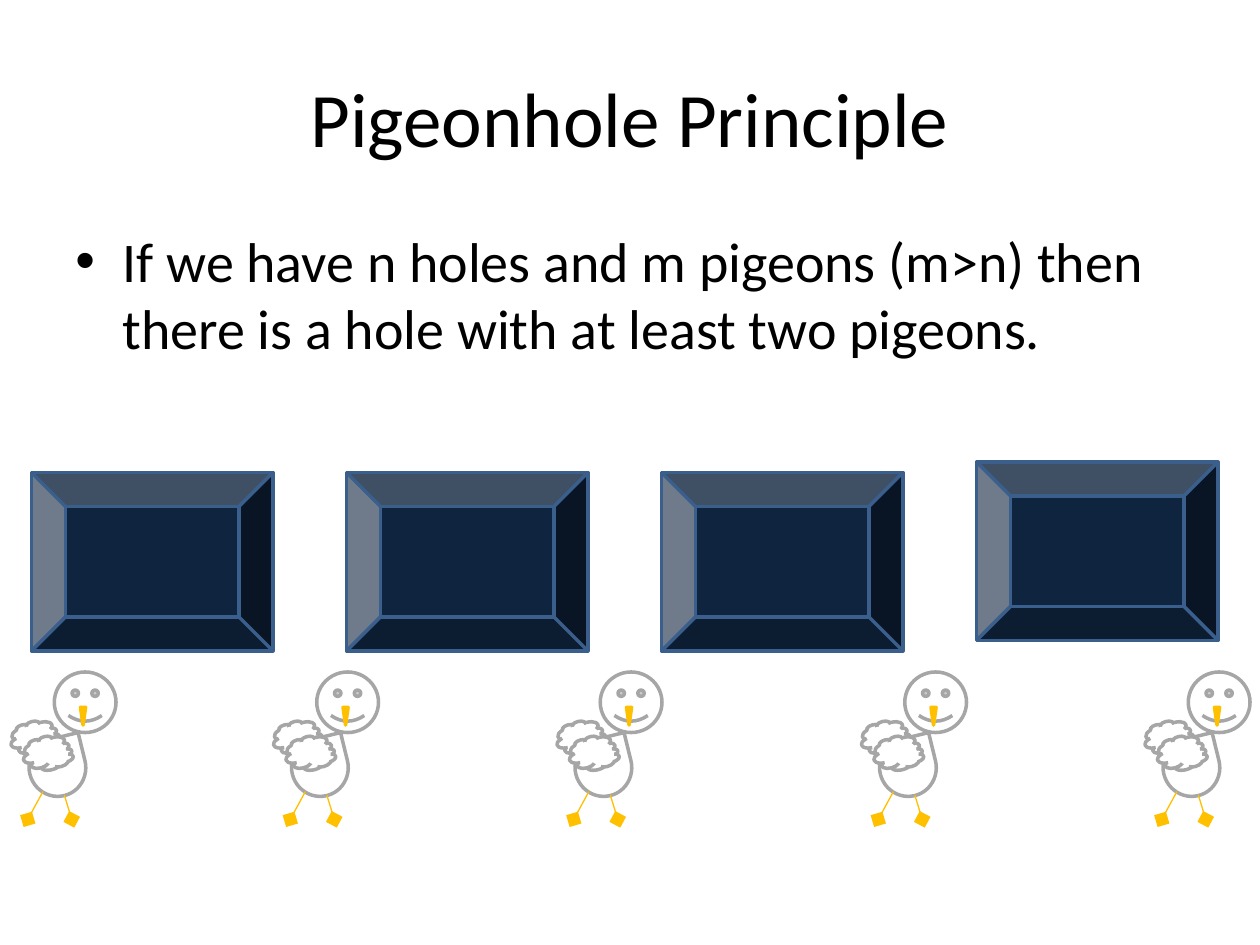
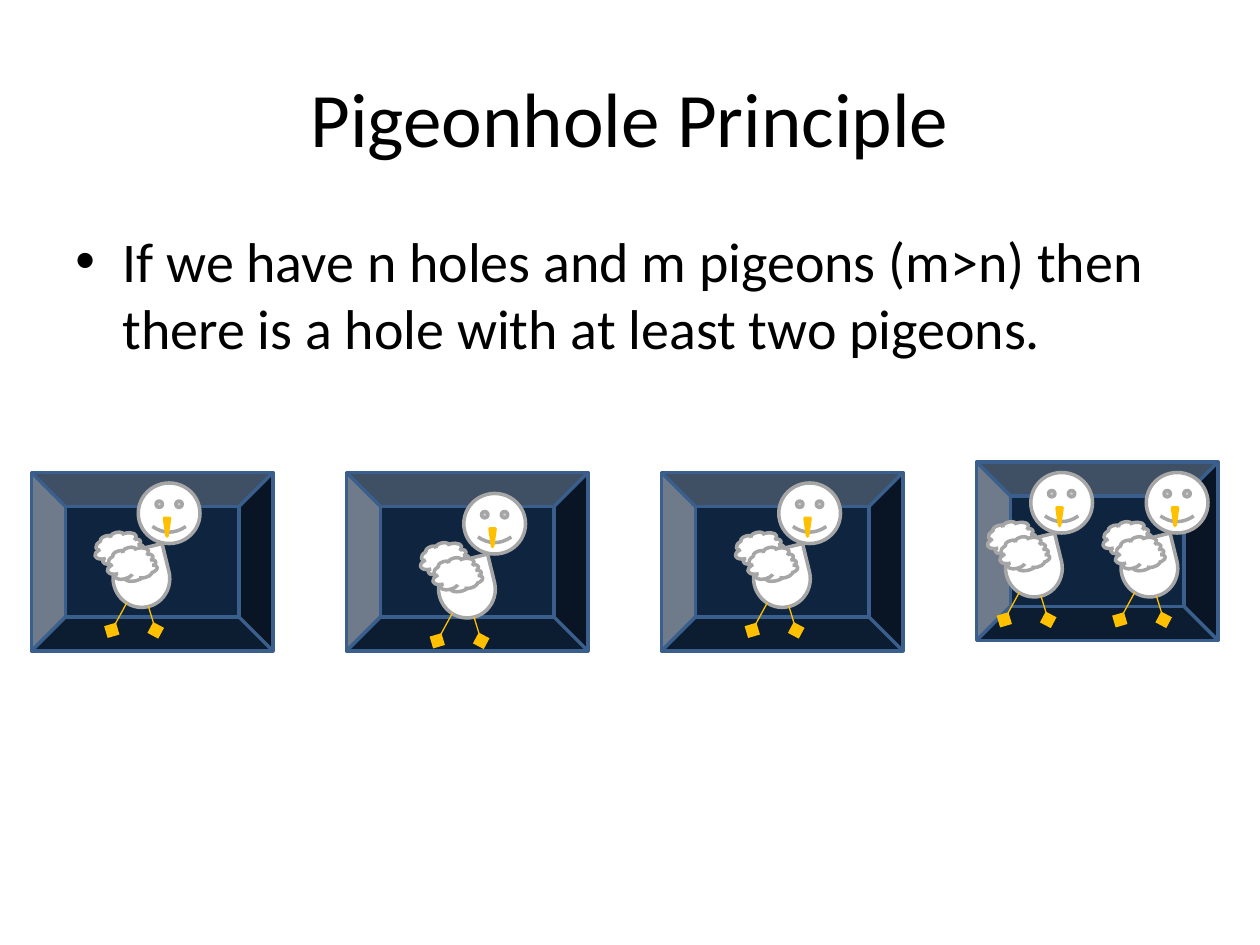
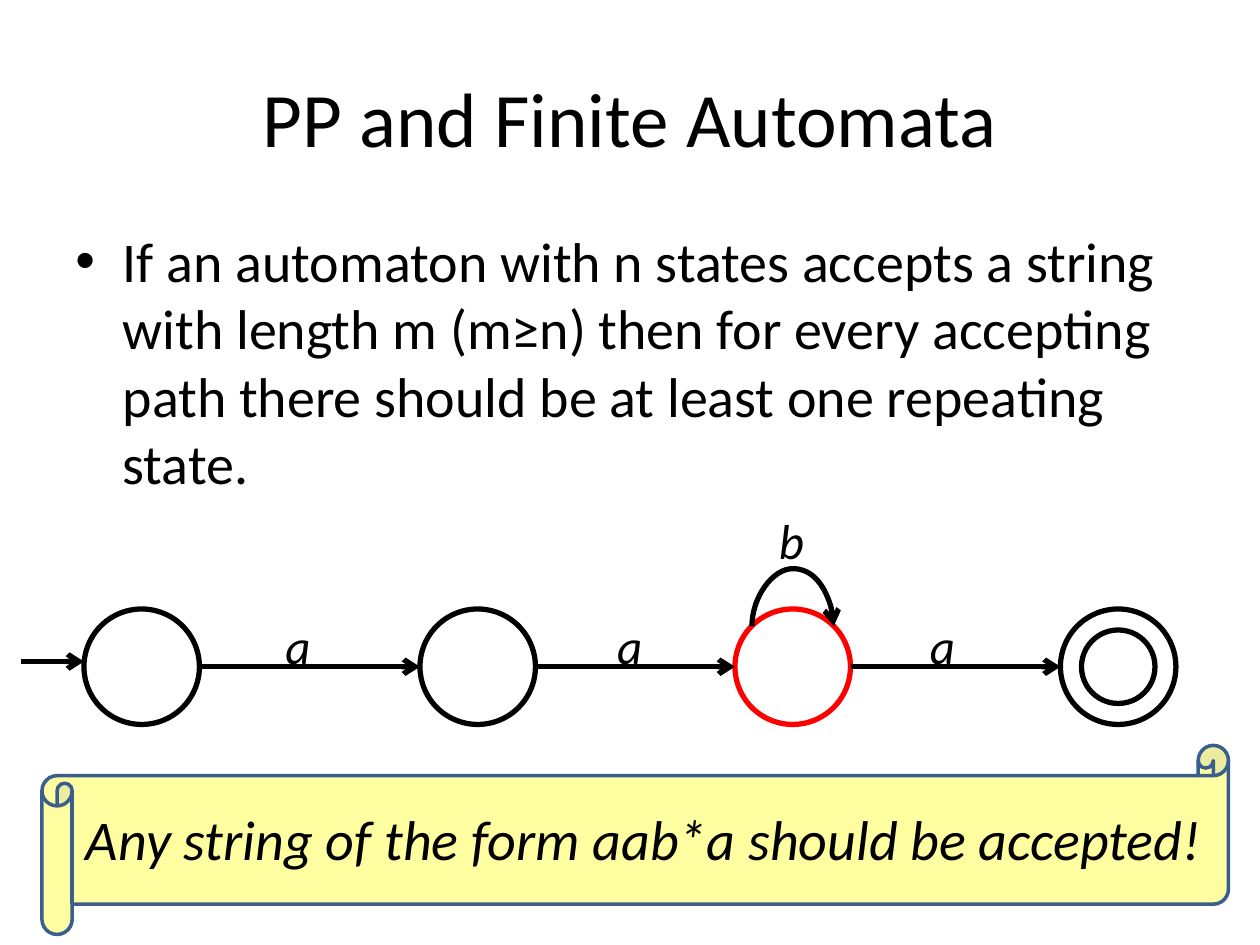
from lxml.etree import SubElement
from pptx import Presentation
from pptx.dml.color import RGBColor
from pptx.enum.shapes import MSO_CONNECTOR as CONNECTOR, MSO_SHAPE as SHAPE
from pptx.enum.text import MSO_ANCHOR, MSO_AUTO_SIZE, PP_ALIGN
from pptx.oxml.ns import qn
from pptx.util import Pt

FONT = "Calibri"
BLACK, WHITE, RED = "000000", "FFFFFF", "FF0000"
NAVY, BLUE = "0F243E", "3A5F8C"
GREY, ORANGE, YELLOW = "A6A6A6", "FFC000", "FFFF00"


def paint(shape, line, width, fill=None, tail=None, tail_size="med"):
    """Set outline, fill and end arrowhead, and remove the theme shadow."""
    shape.line.color.rgb = RGBColor.from_string(line)
    shape.line.width = Pt(width)
    if fill:
        shape.shadow.inherit = False
        shape.fill.solid()
        shape.fill.fore_color.rgb = RGBColor.from_string(fill)
    else:
        properties = shape._element.spPr
        if tail:
            SubElement(properties.find(qn("a:ln")), qn("a:tailEnd"),
                       type=tail, w=tail_size, len=tail_size)
        SubElement(properties, qn("a:effectLst"))


def add_text(slide, text, box, size, italic=False, wrap=True):
    """Add a one-paragraph text box and return its text frame."""
    frame = slide.shapes.add_textbox(*map(Pt, box)).text_frame
    frame.word_wrap = wrap
    if not wrap:
        frame.auto_size = MSO_AUTO_SIZE.SHAPE_TO_FIT_TEXT
    run = frame.paragraphs[0].add_run()
    run.text = text
    run.font.name = FONT
    run.font.size = Pt(size)
    run.font.italic = italic
    run.font.color.rgb = RGBColor.from_string(BLACK)
    return frame


presentation = Presentation()
presentation.slide_width, presentation.slide_height = Pt(720), Pt(540)

PRINCIPLE = ("Pigeonhole Principle",
             "If we have n holes and m pigeons (m>n) then there is a hole "
             "with at least two pigeons.")
AUTOMATA = ("PP and Finite Automata",
            "If an automaton with n states accepts a string with length m (m≥n) "
            "then for every accepting path there should be at least one "
            "repeating state.")

# Title and bullet on every slide
slides = []
for title, bullet in (PRINCIPLE, PRINCIPLE, AUTOMATA):
    slide = presentation.slides.add_slide(presentation.slide_layouts[6])
    slides.append(slide)
    if title == AUTOMATA[0]:
        scroll = slide.shapes.add_shape(
            SHAPE.HORIZONTAL_SCROLL, Pt(24), Pt(426), Pt(678), Pt(108))
        scroll.adjustments[0] = 0.16
        paint(scroll, BLUE, 2, YELLOW)
        scroll_color = scroll._element.spPr.find(qn("a:solidFill"))[0]
        SubElement(scroll_color, qn("a:alpha"), val="37000")

    title_frame = add_text(slide, title, (36, 21.6, 648, 90), 44)
    title_frame.vertical_anchor = MSO_ANCHOR.MIDDLE
    title_frame.paragraphs[0].alignment = PP_ALIGN.CENTER

    body_frame = add_text(slide, bullet, (36, 126, 648, 356.4), 32)
    bullet_format = body_frame.paragraphs[0]._p.get_or_add_pPr()
    bullet_format.set("marL", str(Pt(27)))
    bullet_format.set("indent", str(Pt(-27)))
    SubElement(bullet_format, qn("a:buFont"), typeface="Arial")
    SubElement(bullet_format, qn("a:buChar"), char="•")

# Pigeon parts, measured from the top left of the head
PIGEON_PARTS = [
    (SHAPE.SMILEY_FACE, (0, 0, 35.3, 34.6), 0, WHITE, GREY),
    (SHAPE.TEAR, (-14.4, 38, 32.4, 33.1), 346.3, WHITE, GREY),
    (SHAPE.CLOUD, (-20.8, 23.9, 19.4, 28.1), 75.4, WHITE, GREY),
    (SHAPE.CLOUD, (-13.7, 32.5, 19.4, 28.1), 75.4, WHITE, GREY),
    (SHAPE.ISOSCELES_TRIANGLE, (15, 20.2, 2.9, 10.1), 180, ORANGE, ORANGE),
]
PIGEON_LEGS = [(-6.5, 68.4, -15.1, 84.2), (5.8, 70.4, 10, 84.2)]
WAITING = [(x, 384) for x in (31, 181, 343, 517, 679)]
HOUSED = [(79, 276), (265, 282), (445, 276), (589, 270), (655, 270)]

for slide, pigeons in zip(slides, (WAITING, HOUSED)):
    for column, hole_top in enumerate((270, 270, 270, 264)):
        hole = slide.shapes.add_shape(
            SHAPE.BEVEL, Pt(18 + 180 * column), Pt(hole_top), Pt(138), Pt(102))
        hole.adjustments[0] = 0.19
        paint(hole, BLUE, 2, NAVY)

    for head_x, head_y in pigeons:
        pigeon = slide.shapes.add_group_shape()
        for kind, (x, y, width, height), rotation, fill, line in PIGEON_PARTS:
            part = pigeon.shapes.add_shape(
                kind, Pt(head_x + x), Pt(head_y + y), Pt(width), Pt(height))
            part.rotation = rotation
            paint(part, line, 2, fill)
        for hip_x, hip_y, foot_x, foot_y in PIGEON_LEGS:
            leg = pigeon.shapes.add_connector(
                CONNECTOR.STRAIGHT, Pt(head_x + hip_x), Pt(head_y + hip_y),
                Pt(head_x + foot_x), Pt(head_y + foot_y))
            paint(leg, ORANGE, 0.75, tail="diamond", tail_size="lg")

# Automaton: four states, the last one accepting
slide = slides[2]
STATE_SIZE, STATE_TOP, ARROW_Y = 66, 348, 381
state_lefts = [48, 240, 420, 606]
for left, color in zip(state_lefts, (BLACK, BLACK, RED, BLACK)):
    state = slide.shapes.add_shape(
        SHAPE.OVAL, Pt(left), Pt(STATE_TOP), Pt(STATE_SIZE), Pt(STATE_SIZE))
    paint(state, color, 3, WHITE)
accepting_ring = slide.shapes.add_shape(
    SHAPE.OVAL, Pt(618), Pt(360), Pt(42), Pt(42))
paint(accepting_ring, BLACK, 3, WHITE)

arrows = [(12, 48, 378)]
for left, next_left in zip(state_lefts, state_lefts[1:]):
    arrows.append((left + STATE_SIZE, next_left, ARROW_Y))
for start_x, end_x, y in arrows:
    arrow = slide.shapes.add_connector(
        CONNECTOR.STRAIGHT, Pt(start_x), Pt(y), Pt(end_x), Pt(y))
    paint(arrow, BLACK, 3, tail="arrow")

# Self-loop: a nearly flat curve turned upright, bulging up to just below its label
loop = slide.shapes.add_connector(
    CONNECTOR.CURVE, Pt(453.1), Pt(381.2), Pt(453), Pt(334.4))
loop_properties = loop._element.spPr
loop_properties.find(qn("a:xfrm")).set("rot", "5400000")
loop_guides = loop_properties.find(qn("a:prstGeom")).find(qn("a:avLst"))
SubElement(loop_guides, qn("a:gd"), name="adj1", fmla="val 29000000")
paint(loop, BLACK, 3, tail="arrow")

for letter, x, y in (("a", 156, 348), ("a", 345.6, 348),
                     ("a", 524.2, 348), ("b", 438, 288)):
    add_text(slide, letter, (x, y, 29, 41), 28, italic=True, wrap=False)
add_text(slide, "Any string of the form aab*a should be accepted!",
         (42, 456, 654, 46), 32, italic=True)

presentation.save("out.pptx")
